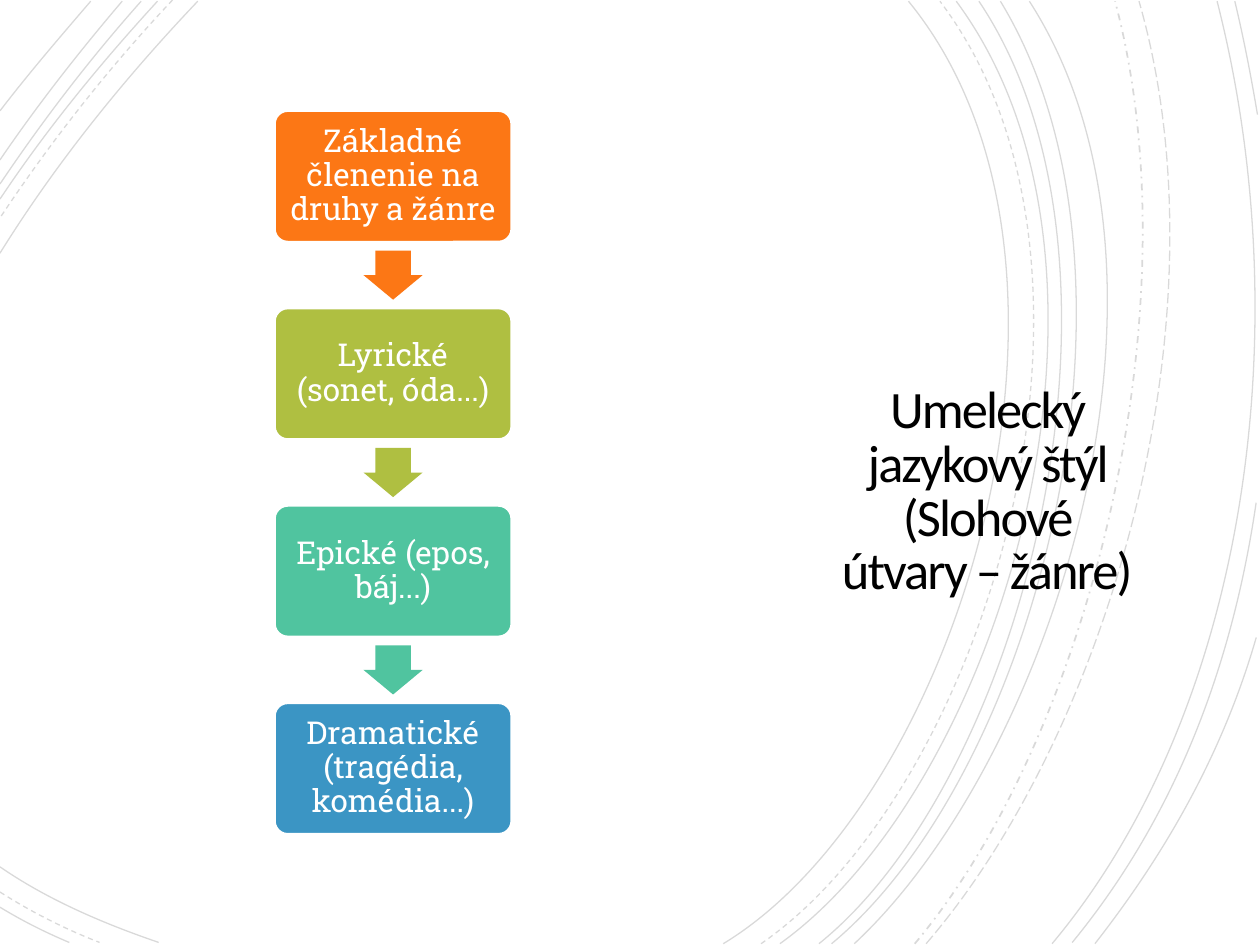
from typing import NamedTuple

from lxml import etree
from pptx import Presentation
from pptx.dml.color import RGBColor
from pptx.enum import dml, shapes, text
from pptx.oxml.ns import qn
from pptx.util import Inches, Pt

SOLID = dml.MSO_LINE.SOLID
DASH = dml.MSO_LINE.DASH
LONG_DASH = dml.MSO_LINE.LONG_DASH
DASH_DOT = dml.MSO_LINE.DASH_DOT
CURVE_SAMPLES = 40
CURVE_OPACITY = 15

BOX_LEFT, BOX_WIDTH, BOX_HEIGHT = 2.18, 1.88, 1.04
FIRST_TOP, LAST_TOP = 0.88, 5.58
ARROW_WIDTH, ARROW_HEIGHT = 0.47, 0.39


class Step(NamedTuple):
    label: str
    color: str


class Curve(NamedTuple):
    """A cubic curve: start, two control points and end, in inches."""
    points: tuple
    dash: dml.MSO_LINE = SOLID
    width: float = 0.75


STEPS = [
    Step("Základné členenie na druhy a žánre", "FC7715"),
    Step("Lyrické (sonet, óda...)", "AFBF41"),
    Step("Epické (epos, báj...)", "50C49F"),
    Step("Dramatické (tragédia, komédia...)", "3B95C4"),
]
BOX_PITCH = (LAST_TOP - FIRST_TOP) / (len(STEPS) - 1)

CURVES = [
    # Long arcs on the right, with their ends in the left corners
    Curve(((5.74, 7.49), (7.62, 6.35), (8.91, 2.09), (7.21, 0.01))),
    Curve(((0, 6.88), (0.39, 7.15), (0.85, 7.34), (1.26, 7.48))),
    Curve(((1.57, 0.01), (1.01, 0.6), (0.46, 1.27), (0, 2.01))),
    Curve(((6.04, 7.49), (7.84, 6.25), (9.06, 2.12), (7.46, 0.01)), DASH),
    Curve(((0, 7.08), (0.25, 7.24), (0.53, 7.38), (0.79, 7.48)), DASH),
    Curve(((1.37, 0), (0.88, 0.52), (0.42, 1.1), (0, 1.73)), DASH),
    Curve(((6.19, 7.49), (7.96, 6.22), (9.16, 2.13), (7.59, 0.01))),
    Curve(((0, 7.2), (0.18, 7.31), (0.36, 7.4), (0.55, 7.48))),
    Curve(((1.25, 0.01), (0.81, 0.49), (0.38, 1.01), (0, 1.58))),
    Curve(((6.5, 7.49), (8.15, 6.16), (9.16, 2.08), (7.77, 0.01))),
    Curve(((1.12, 0.01), (0.72, 0.46), (0.35, 0.94), (0, 1.46))),
    Curve(((6.6, 7.49), (8.25, 6.12), (9.25, 2.16), (7.94, 0.01))),
    Curve(((0.97, 0.01), (0.63, 0.41), (0.3, 0.83), (0, 1.27))),
    Curve(((6.78, 7.49), (8.35, 6.03), (9.58, 2.2), (8.17, 0.01))),
    Curve(((0.72, 0.01), (0.48, 0.29), (0.23, 0.58), (0, 0.88))),
    Curve(((7.26, 7.49), (8.66, 5.83), (9.49, 2.41), (8.85, 0.01)), DASH_DOT, 1),
    Curve(((7.35, 7.49), (8.8, 5.81), (9.76, 2.51), (9.04, 0.01)), LONG_DASH),
    # Right edge
    Curve(((8.35, 7.49), (9.9, 5.64), (10.32, 2.59), (9.66, 0.01))),
    Curve(((8.51, 7.48), (9.29, 6.53), (9.77, 5.36), (9.97, 3.99))),
    Curve(((9.98, 0.91), (9.93, 0.61), (9.87, 0.3), (9.8, 0.01))),
    Curve(((8.69, 7.49), (9.23, 6.8), (9.7, 6), (9.97, 5.06))),
]


def paint(color_format, color: str) -> None:
    """Apply a hex colour to a fill or a font."""
    if hasattr(color_format, "solid"):
        color_format.solid()
        color_format.fore_color.rgb = RGBColor.from_string(color)
    else:
        color_format.color.rgb = RGBColor.from_string(color)


def point_on(curve: Curve, t: float) -> tuple[int, int]:
    weights = ((1 - t) ** 3, 3 * t * (1 - t) ** 2, 3 * t * t * (1 - t), t ** 3)
    x, y = (sum(w * p[axis] for w, p in zip(weights, curve.points)) for axis in (0, 1))
    return Inches(x), Inches(y)


def bend(shape, curve: Curve) -> None:
    """Replace the straight segments of a freeform by one cubic segment."""
    outline = shape.element.find(".//" + qn("a:path"))
    for segment in outline.findall(qn("a:lnTo")):
        outline.remove(segment)
    cubic = etree.SubElement(outline, qn("a:cubicBezTo"))
    for x, y in curve.points[1:]:
        etree.SubElement(cubic, qn("a:pt"), x=str(Inches(x) - shape.left),
                         y=str(Inches(y) - shape.top))


def draw_curve(slide, curve: Curve) -> None:
    # The sampled points give the shape its exact bounds
    points = [point_on(curve, i / CURVE_SAMPLES) for i in range(CURVE_SAMPLES + 1)]
    builder = slide.shapes.build_freeform(*points[0])
    builder.add_line_segments(points[1:], close=False)
    shape = builder.convert_to_shape()
    bend(shape, curve)
    shape.shadow.inherit = False
    shape.fill.background()
    paint(shape.line.fill, "000000")
    shape.line.width = Pt(curve.width)
    shape.line.dash_style = curve.dash
    color = shape.element.find(".//" + qn("a:ln")).find(".//" + qn("a:srgbClr"))
    etree.SubElement(color, qn("a:alpha"), val=str(CURVE_OPACITY * 1000))


def write(shape, content: str, font: str, size: float, color: str,
          spacing: float, inset: float):
    """Put one centred paragraph in a shape and return its run."""
    frame = shape.text_frame
    frame.text = content
    frame.word_wrap = True
    frame.auto_size = text.MSO_AUTO_SIZE.NONE
    frame.vertical_anchor = text.MSO_ANCHOR.MIDDLE
    frame.margin_left = frame.margin_right = Inches(inset)
    frame.margin_top = frame.margin_bottom = Inches(inset)
    para = frame.paragraphs[0]
    para.alignment = text.PP_ALIGN.CENTER
    para.line_spacing = spacing
    span = para.runs[0]
    span.font.name = font
    span.font.size = Pt(size)
    paint(span.font, color)
    return span


def draw_step(slide, step: Step, top: float) -> None:
    box = slide.shapes.add_shape(
        shapes.MSO_SHAPE.ROUNDED_RECTANGLE, Inches(BOX_LEFT), Inches(top),
        Inches(BOX_WIDTH), Inches(BOX_HEIGHT))
    box.adjustments[0] = 0.1
    box.shadow.inherit = False
    paint(box.fill, step.color)
    paint(box.line.fill, "FFFFFF")
    box.line.width = Pt(1.25)
    write(box, step.label, "Roboto Slab", 18, "FFFFFF", spacing=0.9, inset=0.07)


def draw_arrow(slide, color: str, box_top: float) -> None:
    """Centre a down arrow in the gap below a box."""
    gap = BOX_PITCH - BOX_HEIGHT
    arrow = slide.shapes.add_shape(
        shapes.MSO_SHAPE.DOWN_ARROW,
        Inches(BOX_LEFT + (BOX_WIDTH - ARROW_WIDTH) / 2),
        Inches(box_top + BOX_HEIGHT + (gap - ARROW_HEIGHT) / 2),
        Inches(ARROW_WIDTH), Inches(ARROW_HEIGHT))
    arrow.adjustments[0] = 0.6
    arrow.adjustments[1] = 0.5
    arrow.shadow.inherit = False
    paint(arrow.fill, color)
    arrow.line.fill.background()


def place_title(slide) -> None:
    title = slide.shapes.title
    title.left, title.top = Inches(6.4), Inches(2.57)
    title.width, title.height = Inches(2.87), Inches(2.69)
    span = write(title, "Umelecký jazykový štýl (Slohové útvary – žánre)",
                 "Calibri", 30, "000000", spacing=0.85, inset=0.25)
    span.font._element.set("spc", "-110")
    title.element.getparent().append(title.element)  # in front of the curves


def main() -> None:
    deck = Presentation()
    deck.slide_width, deck.slide_height = Inches(10), Inches(7.5)
    slide = deck.slides.add_slide(deck.slide_layouts.get_by_name("Title Only"))
    paint(slide.background.fill, "FFFFFF")
    for curve in CURVES:
        draw_curve(slide, curve)
    place_title(slide)
    for index, step in enumerate(STEPS):
        top = FIRST_TOP + index * BOX_PITCH
        draw_step(slide, step, top)
        if index < len(STEPS) - 1:
            draw_arrow(slide, step.color, top)
    deck.save("out.pptx")


if __name__ == "__main__":
    main()
